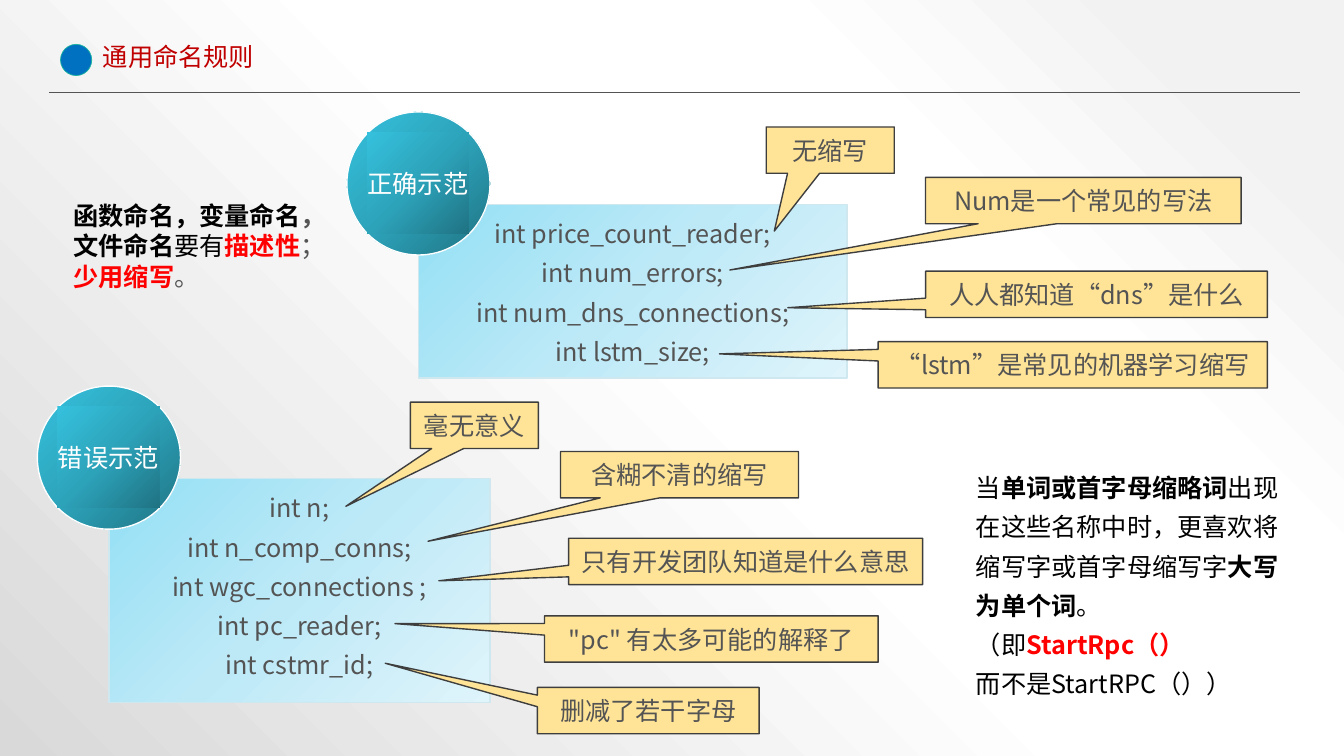
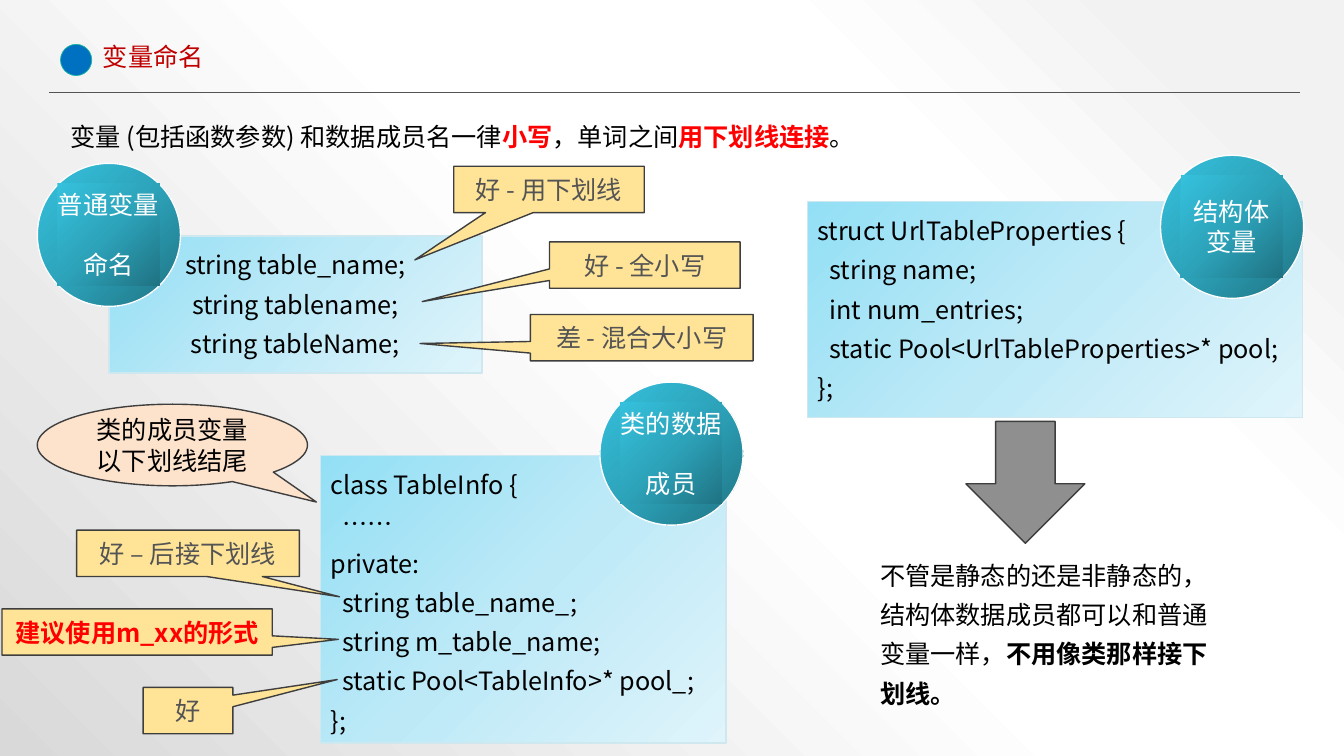
from lxml import etree
from pptx import Presentation
from pptx.dml.color import RGBColor
from pptx.enum.shapes import MSO_CONNECTOR, MSO_SHAPE
from pptx.enum.text import MSO_ANCHOR, PP_ALIGN
from pptx.oxml import parse_xml
from pptx.oxml.ns import nsdecls, qn
from pptx.util import Inches, Pt

LEFT, CENTER = PP_ALIGN.LEFT, PP_ALIGN.CENTER
TOP, MIDDLE, BOTTOM = MSO_ANCHOR.TOP, MSO_ANCHOR.MIDDLE, MSO_ANCHOR.BOTTOM
RECT, OVAL, ARROW = MSO_SHAPE.RECTANGLE, MSO_SHAPE.OVAL, MSO_SHAPE.DOWN_ARROW
BOX_TIP = MSO_SHAPE.RECTANGULAR_CALLOUT
OVAL_TIP = MSO_SHAPE.OVAL_CALLOUT
STRAIGHT = MSO_CONNECTOR.STRAIGHT

SANS, GEO = "Noto Sans CJK SC", "TeX Gyre Adventor"
COLORS = {
    "black": "000000", "gray": "545454", "red": "FF0000", "title": "C00000",
    "white": "FFFFFF", "dot": "0070C0", "rim": "1AB39F", "edge": "CFE7EE",
    "dark": "3E3E3E", "yellow": "FFE497", "peach": "FDE2CC", "arrow": "8F8F8F",
}
FADES = {
    "page": ([(10, "F2F2F2"), (28, "FFFFFF"), (48, "FFFFFF"), (100, "D9D9D9")],
             '<a:path path="circle"><a:fillToRect l="100000" b="100000"/></a:path>'),
    "card": ([(0, "93DFF5"), (50, "BDE9F7"), (100, "DFF4FB")],
             '<a:lin ang="2700000" scaled="0"/>'),
    "badge": ([(0, "1F7383"), (50, "2DA3BA"), (100, "35C1DD")],
              '<a:path path="circle"><a:fillToRect l="100000" t="100000"/></a:path>'),
}


def paint(node, fill, tone):
    if tone in COLORS:
        fill.solid()
        fill.fore_color.rgb = RGBColor.from_string(COLORS[tone])
        return
    stops, shade = FADES[tone]
    marks = "".join(f'<a:gs pos="{pos * 1000}"><a:srgbClr val="{tint}"/></a:gs>'
                    for pos, tint in stops)
    fill.gradient()
    old = node.find(".//" + qn("a:gradFill"))
    old.getparent().replace(old, parse_xml(
        f'<a:gradFill {nsdecls("a")} rotWithShape="1">'
        f'<a:gsLst>{marks}</a:gsLst>{shade}</a:gradFill>'))


def write(shape, lines, tone, align=LEFT, anchor=TOP, pitch=None, font=SANS):
    frame = shape.text_frame
    frame.word_wrap = True
    frame.vertical_anchor = anchor
    for i, line in enumerate(lines):
        para = frame.add_paragraph() if i else frame.paragraphs[0]
        para.alignment = align
        para.line_spacing = pitch
        parts = [(line, tone, False)] if isinstance(line, str) else line
        for text, ink, bold in parts:
            run = para.add_run()
            run.text = text
            run.font.size = Pt(18)
            run.font.bold = bold
            run.font.name = font
            run.font.color.rgb = RGBColor.from_string(COLORS[ink])
            east = etree.SubElement(run.font._element, qn("a:ea"))
            east.set("typeface", SANS)


PAGES = [
    {
        "title": "通用命名规则",
        "cards": [
            (4.15, 2.03, 4.25, 1.72, "gray", CENTER,
             ["int price_count_reader;", "int num_errors;",
              "int num_dns_connections;", "int lstm_size;"]),
            (1.08, 4.75, 3.78, 2.22, "gray", CENTER,
             ["int n;", "int n_comp_conns;", "int wgc_connections ;",
              "int pc_reader;", "int cstmr_id;"]),
        ],
        "badges": [(3.44, 1.11, ["正确示范"], 0, SANS),
                   (0.37, 3.83, ["错误示范"], 0, SANS)],
        "tips": [
            (7.6, 1.26, 1.27, -0.437, 1.747, "无缩写"),
            (9.18, 1.76, 3.13, -1.12, 1.499, "Num是一个常见的写法"),
            (9.18, 2.69, 3.39, -0.903, 0.29, "人人都知道“dns”是什么"),
            (8.71, 3.39, 3.86, -0.908, -0.237, "“lstm”是常见的机器学习缩写"),
            (4.07, 3.99, 1.27, -1.004, 1.747, "毫无意义"),
            (5.56, 4.48, 2.36, -1.057, 1.435, "含糊不清的缩写"),
            (5.64, 5.34, 3.51, -0.867, 0.418, "只有开发团队知道是什么意思"),
            (5.4, 6.11, 3.31, -0.948, -0.332, '"pc" 有太多可能的解释了'),
            (5.33, 6.82, 2.2, -1.186, -1.022, "删减了若干字母"),
        ],
        "notes": [
            (0.63, 1.94, 2.81, 1.01, None,
             [[("函数命名，变量命名", "black", True), ("，", "gray", True),
               ("文件命名", "black", True), ("要有", "black", False),
               ("描述性", "red", True), ("；", "gray", False),
               ("少用缩写", "red", True), ("。", "gray", False)]]),
            (9.58, 4.55, 3.31, 2.43, Pt(28),
             [[("当", "black", False), ("单词或首字母缩略词", "black", True),
               ("出现在这些名称中时，更喜欢将缩写字或首字母缩写字", "black", False),
               ("大写为单个词", "black", True), ("。", "black", False)],
              [("（即", "black", False), ("StartRpc（）", "red", True)],
              "而不是StartRPC（））"]),
        ],
    },
    {
        "title": "变量命名",
        "cards": [
            (1.08, 2.34, 3.7, 1.36, "black", CENTER,
             ["string table_name;", "string tablename;", "string tableName;"]),
            (3.18, 4.52, 4.02, 2.85, "black", LEFT,
             ["class TableInfo {", "\t……", "private:", "\tstring table_name_;",
              "\tstring m_table_name;", "\tstatic Pool<TableInfo>* pool_;", "};"]),
            (8.01, 2, 4.91, 2.14, "black", LEFT,
             ["struct UrlTableProperties {", "\tstring name;", "\tint num_entries;",
              "\tstatic Pool<UrlTableProperties>* pool;", "};"]),
        ],
        "badges": [(0.37, 1.62, ["普通变量", "命名"], 21.5, GEO),
                   (5.95, 3.79, ["类的数据", "成员"], 21.5, GEO),
                   (11.51, 1.54, ["结构体", "变量"], 0, GEO)],
        "tips": [
            (4.5, 1.65, 1.89, -0.704, 1.52, "好 - 用下划线"),
            (5.45, 2.4, 1.89, -1.168, 0.788, "好 - 全小写"),
            (5.26, 3.12, 2.21, -0.995, 0.126, "差 - 混合大小写"),
            (0.76, 5.26, 2.21, 0.68, 0.937, "好 – 后接下划线"),
            (1.42, 6.82, 0.89, 1.661, -0.67, "好"),
            (0.02, 6.04, 2.68, 0.745, 0.159, [("建议使用m_xx的形式", "red", True)]),
        ],
        "notes": [
            (0.6, 1.07, 8.11, 0.46, Pt(28),
             [[("变量 (包括函数参数) 和数据成员名一律", "black", False),
               ("小写", "red", True), ("，单词之间", "black", False),
               ("用下划线连接", "red", True), ("。", "black", False)]]),
            (8.63, 5.42, 3.46, 1.63, Pt(28),
             [[("不管是静态的还是非静态的，结构体数据成员都可以和普通变量一样，",
                "black", False), ("不用像类那样接下划线。", "black", True)]]),
        ],
    },
]

prs = Presentation()
prs.slide_width, prs.slide_height = Inches(13.33), Inches(7.5)
master = prs.slide_master
paint(master.element, master.background.fill, "page")

for page in PAGES:
    slide = prs.slides.add_slide(prs.slide_layouts[5])
    shapes = slide.shapes
    title = shapes.title
    title.left, title.top = Inches(0.92), Inches(0.29)
    title.width, title.height = Inches(3.21), Inches(0.47)
    write(title, [page["title"]], "title", anchor=BOTTOM, pitch=0.9)

    rule = shapes.add_connector(STRAIGHT, Inches(0.49), Inches(0.92),
                                Inches(12.89), Inches(0.92))
    rule.line.width = Pt(1)
    rule.line.color.rgb = RGBColor.from_string(COLORS["gray"])
    etree.SubElement(rule._element.spPr, qn("a:effectLst"))

    dot = shapes.add_shape(OVAL, Inches(0.6), Inches(0.44), Inches(0.31), Inches(0.31))
    looks = [(dot, "dot", "rim", 0.5)]

    for x, y, w, h, tone, align, code in page["cards"]:
        card = shapes.add_shape(RECT, Inches(x), Inches(y), Inches(w), Inches(h))
        looks.append((card, "card", "edge", 1))
        write(card, [line.strip() for line in code], tone, align, pitch=Pt(28))
        for line, para in zip(code, card.text_frame.paragraphs):
            if line.startswith("\t"):
                para._p.get_or_add_pPr().set("marL", str(Inches(0.12)))

    for x, y, words, gap, font in page["badges"]:
        group = shapes.add_group_shape()
        ring = group.shapes.add_shape(OVAL, Inches(x), Inches(y), Inches(1.42), Inches(1.42))
        core = group.shapes.add_shape(RECT, Inches(x + 0.2), Inches(y + 0.2),
                                      Inches(1.01), Inches(1.01))
        looks += [(ring, "badge", "white", 1), (core, "badge", None, 0)]
        frame = core.text_frame
        frame.margin_left = frame.margin_right = 0
        frame.margin_top = frame.margin_bottom = 0
        write(core, words, "white", CENTER, MIDDLE, font=font)
        for para in frame.paragraphs[1:]:
            para.space_before = Pt(gap)

    for x, y, w, dx, dy, text in page["tips"]:
        tip = shapes.add_shape(BOX_TIP, Inches(x), Inches(y), Inches(w), Inches(0.46))
        tip.adjustments[0], tip.adjustments[1] = dx, dy
        looks.append((tip, "yellow", "dark", 1))
        write(tip, [text], "gray", CENTER, MIDDLE)

    for x, y, w, h, pitch, lines in page["notes"]:
        note = shapes.add_textbox(Inches(x), Inches(y), Inches(w), Inches(h))
        write(note, lines, "black", pitch=pitch)

    if page is PAGES[-1]:
        bubble = shapes.add_shape(OVAL_TIP, Inches(0.37), Inches(4.01),
                                  Inches(2.68), Inches(0.81))
        bubble.adjustments[0], bubble.adjustments[1] = 0.533, 0.699
        write(bubble, ["类的成员变量", "以下划线结尾"], "black", CENTER, MIDDLE)
        arrow = shapes.add_shape(ARROW, Inches(9.58), Inches(4.18),
                                 Inches(1.18), Inches(1.21))
        looks += [(bubble, "peach", "dark", 1), (arrow, "arrow", "dark", 1)]

    for shape, tone, edge, width in looks:
        shape.shadow.inherit = False
        paint(shape._element.spPr, shape.fill, tone)
        if edge:
            shape.line.width = Pt(width)
            shape.line.color.rgb = RGBColor.from_string(COLORS[edge])
        else:
            shape.line.fill.background()

prs.save("out.pptx")
